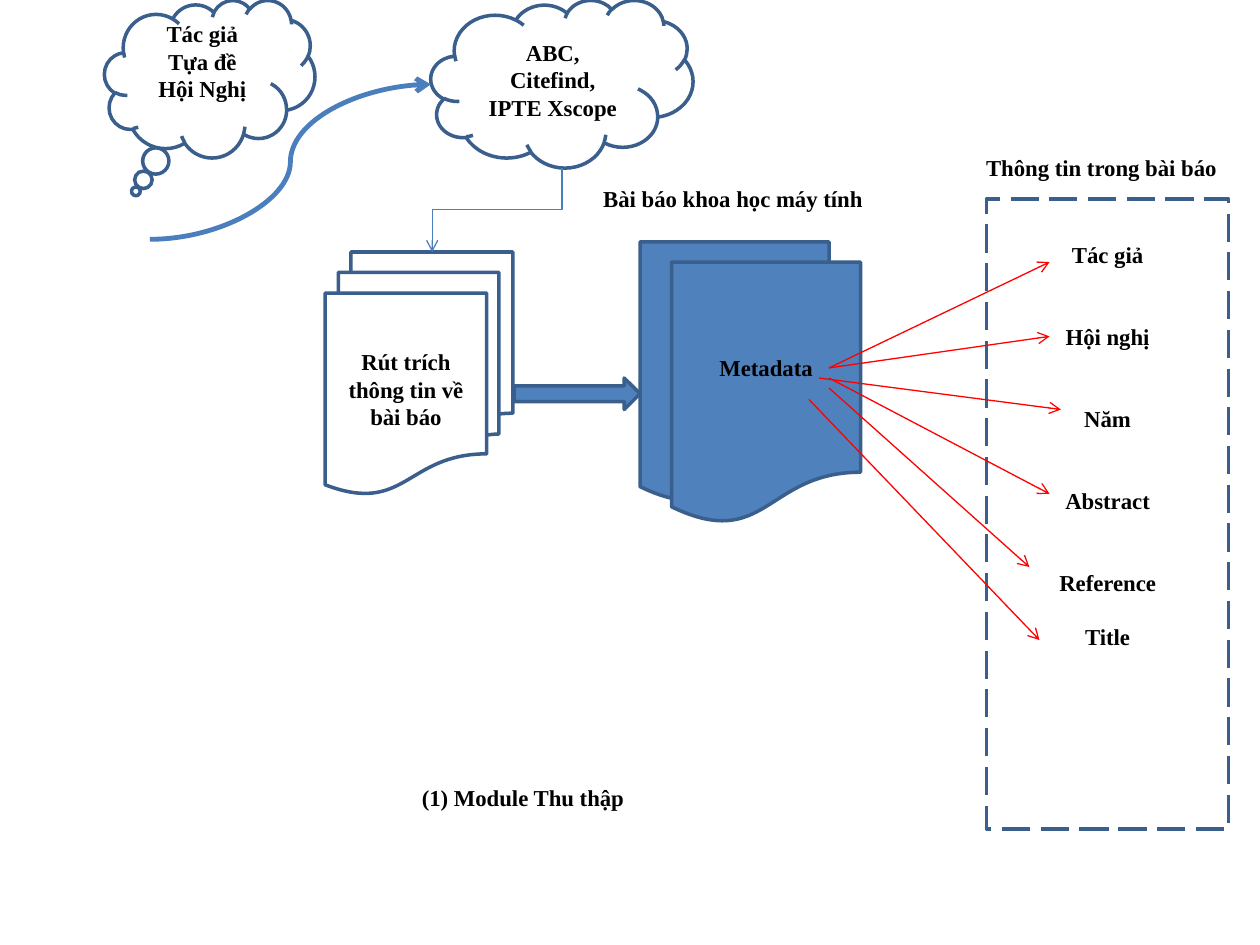
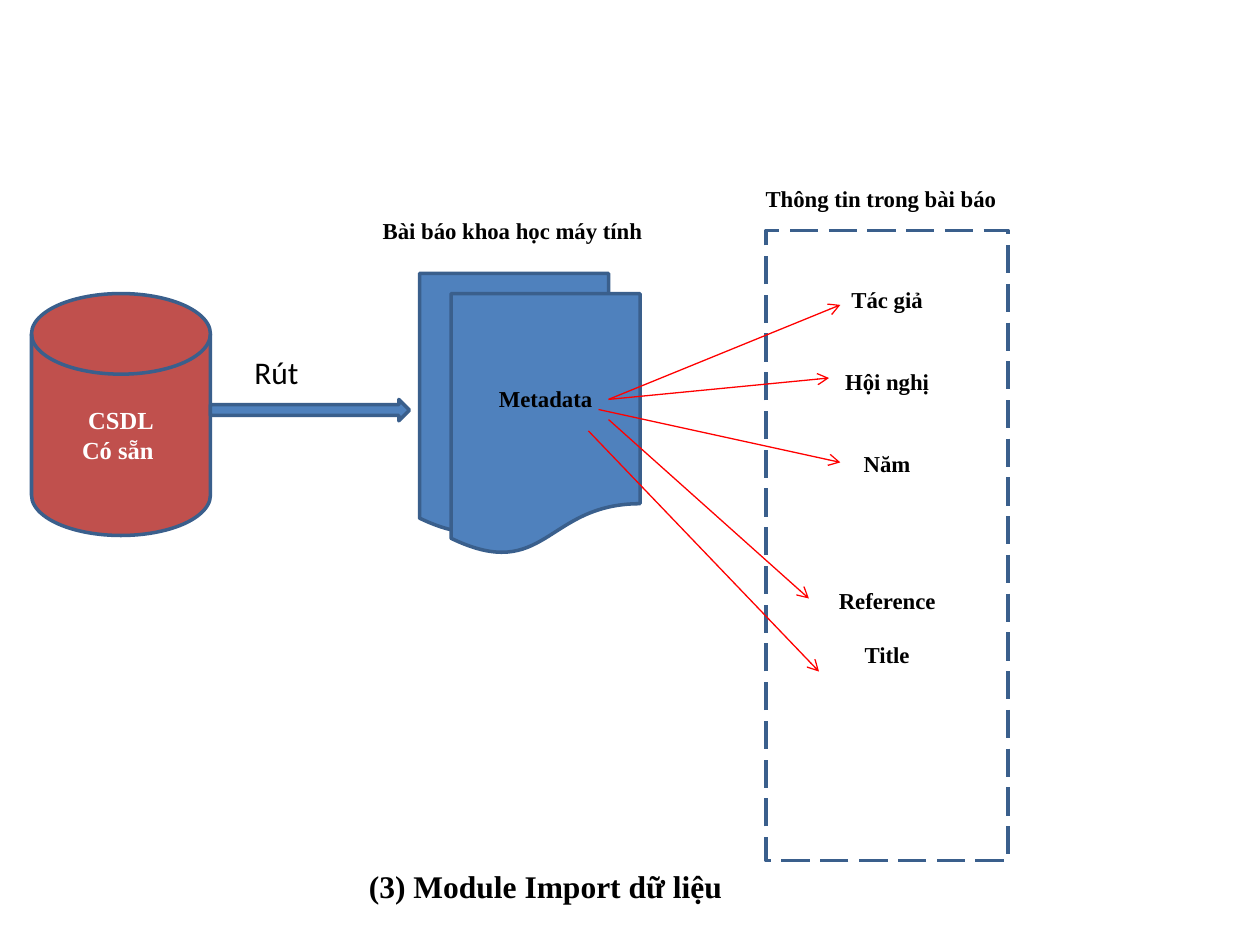
"""Build two slides showing how article metadata is collected and imported."""
from lxml import etree
from pptx import Presentation
from pptx import util as u
from pptx.dml.color import RGBColor
from pptx.enum import dml, shapes, text
from pptx.oxml import ns

BLUE, OUTLINE, CONNECTOR = "4F81BD", "3A5F8C", "4B7EBC"
BRICK, RED, BLACK, WHITE = "C0504D", "FF0000", "000000", "FFFFFF"
SERIF = "Times New Roman"
LINE_HEIGHT = 15.6
KIND = shapes.MSO_SHAPE
LINK = shapes.MSO_CONNECTOR


def add_box(slide, kind, place, words="", fill=None, size=13, color=BLACK,
            font=SERIF, bold=True, align=text.PP_ALIGN.CENTER, wrap=True):
    """Add a preset shape, or a plain text box when kind is None."""
    place = [u.Inches(length) for length in place]
    if kind is None:
        box = slide.shapes.add_textbox(*place)
    else:
        box = slide.shapes.add_shape(kind, *place)
        box.shadow.inherit = False
        box.line.color.rgb = RGBColor.from_string(OUTLINE)
        box.line.width = u.Pt(2)
        if fill:
            box.fill.solid()
            box.fill.fore_color.rgb = RGBColor.from_string(fill)
        else:
            box.fill.background()
        box.text_frame.vertical_anchor = text.MSO_ANCHOR.MIDDLE
    box.text_frame.word_wrap = wrap
    if words:
        box.text_frame.text = words
    for para in box.text_frame.paragraphs:
        para.alignment = align
        for span in para.runs:
            span.font.name = font
            span.font.size = u.Pt(size)
            span.font.bold = bold
            span.font.color.rgb = RGBColor.from_string(color)
    return box


def add_arrow(slide, start, end, color=RED, width=0.75, kind=LINK.STRAIGHT):
    """Add a connector with an open arrowhead at its end."""
    arrow = slide.shapes.add_connector(kind, *[u.Inches(n) for n in (*start, *end)])
    arrow.line.color.rgb = RGBColor.from_string(color)
    arrow.line.width = u.Pt(width)
    etree.SubElement(arrow.line._get_or_add_ln(), ns.qn("a:tailEnd"), type="arrow")
    etree.SubElement(arrow.element.spPr, ns.qn("a:effectLst"))
    return arrow


deck = Presentation()
deck.slide_width, deck.slide_height = u.Inches(10), u.Inches(7.5)
collect, load = [deck.slides.add_slide(deck.slide_layouts[6]) for _ in range(2)]

add_box(collect, KIND.FLOWCHART_MULTIDOCUMENT, (2.58, 2, 1.49, 1.92),
        "Rút trích thông tin về bài báo")
add_box(collect, None, (3.25, 6.17, 1.83, 0.32), "(1) Module Thu thập",
        align=text.PP_ALIGN.LEFT, wrap=False)
query = add_box(collect, KIND.CLOUD_CALLOUT, (0.83, 0, 1.67, 1.25),
                "Tác giả\nTựa đề\nHội Nghị")
query.adjustments[0], query.adjustments[1] = -0.351, 0.715
query.text_frame.margin_bottom = u.Inches(0.27)
add_box(collect, KIND.CLOUD, (3.42, 0, 2.08, 1.33), "ABC,\vCitefind,\vIPTE Xscope")
feed = add_arrow(collect, (3.61, 1.15), (4.28, 2.18), CONNECTOR, kind=LINK.ELBOW)
feed.element.spPr.xfrm.set("rot", "5400000")
add_arrow(collect, (1.19, 1.9), (3.42, 0.67), CONNECTOR, 2.75, LINK.CURVE)

add_box(load, KIND.FLOWCHART_MAGNETIC_DISK, (0.25, 2.33, 1.42, 1.92),
        "CSDL\nCó sẵn ", BRICK, size=14, color=WHITE)
add_box(load, None, (1.92, 2.75, 0.75, 0.4), "Rút", size=18, font="Calibri",
        bold=False, align=text.PP_ALIGN.LEFT)
add_box(load, None, (2.83, 6.83, 3.03, 0.4), "(3) Module Import dữ liệu",
        size=18, align=text.PP_ALIGN.LEFT, wrap=False)

arrow_starts = {"Tác giả": (1.5, 1), "Hội nghị": (1.5, 1), "Năm": (1.42, 1.08),
                "Abstract": (1.5, 1.08), "Reference": (1.5, 1.16), "Title": (1.34, 1.25)}
collect_fields = {"Tác giả": (0, (8.33, 2.08)), "Hội nghị": (2, (8.33, 2.67)),
                  "Năm": (2, (8.42, 3.25)), "Abstract": (2, (8.33, 3.92)),
                  "Reference": (2, (8.17, 4.5)), "Title": (1, (8.25, 5.08))}
load_fields = {"Tác giả": (0, (6.67, 2.42)), "Hội nghị": (2, (6.58, 3)),
               "Năm": (2, (6.67, 3.67)), "Reference": (4, (6.42, 4.75)),
               "Title": (1, (6.5, 5.33))}

for slide, left, top, inset, fields, arrow_place in (
        (collect, 5.08, 1.92, 0.33, collect_fields, (4.08, 3, 1, 0.25)),
        (load, 3.33, 2.17, 0.44, load_fields, (1.67, 3.17, 1.58, 0.17))):
    add_box(slide, KIND.FLOWCHART_DOCUMENT, (left, top, 1.5, 2.08), fill=BLUE)
    add_box(slide, KIND.FLOWCHART_DOCUMENT, (left + 0.25, top + 0.16, 1.5, 2.08),
            "Metadata", BLUE)
    add_box(slide, None, (left - 0.41, top - 0.5, 2.29, 0.32),
            "Bài báo khoa học máy tính", wrap=False)
    add_box(slide, None, (left + 2.63, top - 0.75, 2.06, 0.32),
            "Thông tin trong bài báo", wrap=False)
    add_box(slide, KIND.RIGHT_ARROW, arrow_place, fill=BLUE)
    panel = add_box(slide, KIND.RECTANGLE, (left + 2.75, top - 0.34, 1.92, 5),
                    "\n".join(fields))
    panel.line.dash_style = dml.MSO_LINE.LONG_DASH
    panel.text_frame.vertical_anchor = text.MSO_ANCHOR.TOP
    panel.text_frame.margin_top = u.Inches(inset)
    for para, (field, (gap, end)) in zip(panel.text_frame.paragraphs, fields.items()):
        para.space_before = u.Pt(gap * LINE_HEIGHT)
        across, down = arrow_starts[field]
        add_arrow(slide, (left + across, top + down), end)

deck.save("out.pptx")
